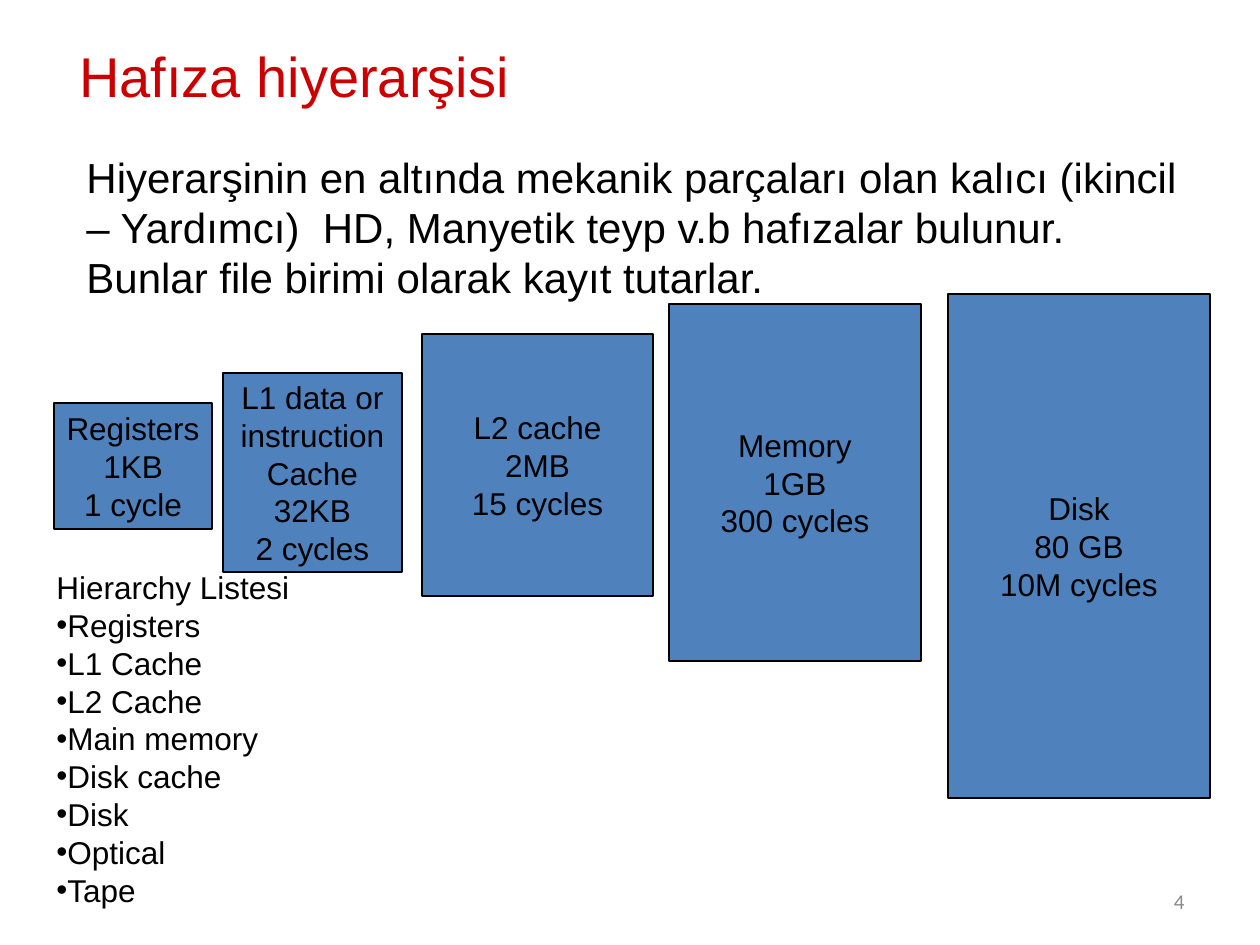
from pptx import Presentation
from pptx.dml.color import RGBColor
from pptx.enum.shapes import MSO_SHAPE as SHAPE
from pptx.enum.text import MSO_ANCHOR as ANCHOR, PP_ALIGN as ALIGN
from pptx.oxml.ns import qn
from pptx.util import Pt
from lxml import etree

# Content: boxes are (left, top, width, height) in px
COLORS = {"title": "CC0000", "text": "000000", "box": "4F81BD", "number": "898989"}
TITLE = "Hafıza hiyerarşisi"
INTRO = ("Hiyerarşinin en altında mekanik parçaları olan kalıcı (ikincil – Yardımcı)  HD, "
         "Manyetik teyp v.b hafızalar bulunur. Bunlar file birimi olarak kayıt tutarlar.")
LEVELS = [
    ((54, 403, 158, 126), ["Registers", "1KB", "1 cycle"]),
    ((223, 373, 179, 199), ["L1 data or", "instruction", "Cache", "32KB", "2 cycles"]),
    ((422, 334, 231, 262), ["L2 cache", "2MB", "15 cycles"]),
    ((669, 304, 252, 357), ["Memory", "1GB", "300 cycles"]),
    ((948, 294, 262, 504), ["Disk", "80 GB", "10M cycles"]),
]
LIST_TITLE = "Hierarchy Listesi"
LIST_ITEMS = ["Registers", "L1 Cache", "L2 Cache", "Main memory",
              "Disk cache", "Disk", "Optical", "Tape"]
PAGE = "4"

PX = 914400 // 126
BULLET_INDENT = 11


def emu(*lengths):
    return [n * PX for n in lengths]


def rgb(name):
    return RGBColor.from_string(COLORS[name])


def add_bullet(p):
    pPr = p._p.get_or_add_pPr()
    pPr.set("marL", str(BULLET_INDENT * PX))
    pPr.set("indent", str(-BULLET_INDENT * PX))
    etree.SubElement(pPr, qn("a:buFont")).set("typeface", "Arial")
    etree.SubElement(pPr, qn("a:buChar")).set("char", "•")


def write(sp, lines, size=18, color="text", font="Arial", align=ALIGN.LEFT,
          anchor=ANCHOR.TOP, wrap=True, bullets_from=None):
    tf = sp.text_frame
    tf.word_wrap = wrap
    tf.vertical_anchor = anchor
    for i, line in enumerate(lines):
        p = tf.paragraphs[0] if i == 0 else tf.add_paragraph()
        p.alignment = align
        if bullets_from is not None and i >= bullets_from:
            add_bullet(p)
        r = p.add_run()
        r.text = line
        r.font.size = Pt(size)
        r.font.name = font
        r.font.color.rgb = rgb(color)


def add_text(slide, box, lines, **style):
    write(slide.shapes.add_textbox(*emu(*box)), lines, **style)


def add_level(slide, box, lines):
    sp = slide.shapes.add_shape(SHAPE.RECTANGLE, *emu(*box))
    sp.shadow.inherit = False
    sp.fill.solid()
    sp.fill.fore_color.rgb = rgb("box")
    sp.line.color.rgb = rgb("text")
    sp.line.width = Pt(0.75)
    write(sp, lines, align=ALIGN.CENTER, anchor=ANCHOR.MIDDLE, wrap=False)


def main():
    prs = Presentation()
    prs.slide_width, prs.slide_height = emu(1260, 945)
    s = prs.slides.add_slide(prs.slide_layouts[6])

    # Page number, title and introduction
    add_text(s, (903, 876, 294, 50), [PAGE], size=12, color="number",
             font="Calibri", align=ALIGN.RIGHT, anchor=ANCHOR.MIDDLE)
    add_text(s, (67, 35, 455, 81), [TITLE], size=32, color="title", wrap=False)
    add_text(s, (74, 145, 1121, 214), [INTRO], size=24)

    # Memory levels, fastest to slowest
    for box, lines in LEVELS:
        add_level(s, box, lines)

    # Hierarchy list
    add_text(s, (44, 562, 307, 353), [LIST_TITLE, *LIST_ITEMS], bullets_from=1)

    prs.save("out.pptx")


if __name__ == "__main__":
    main()
